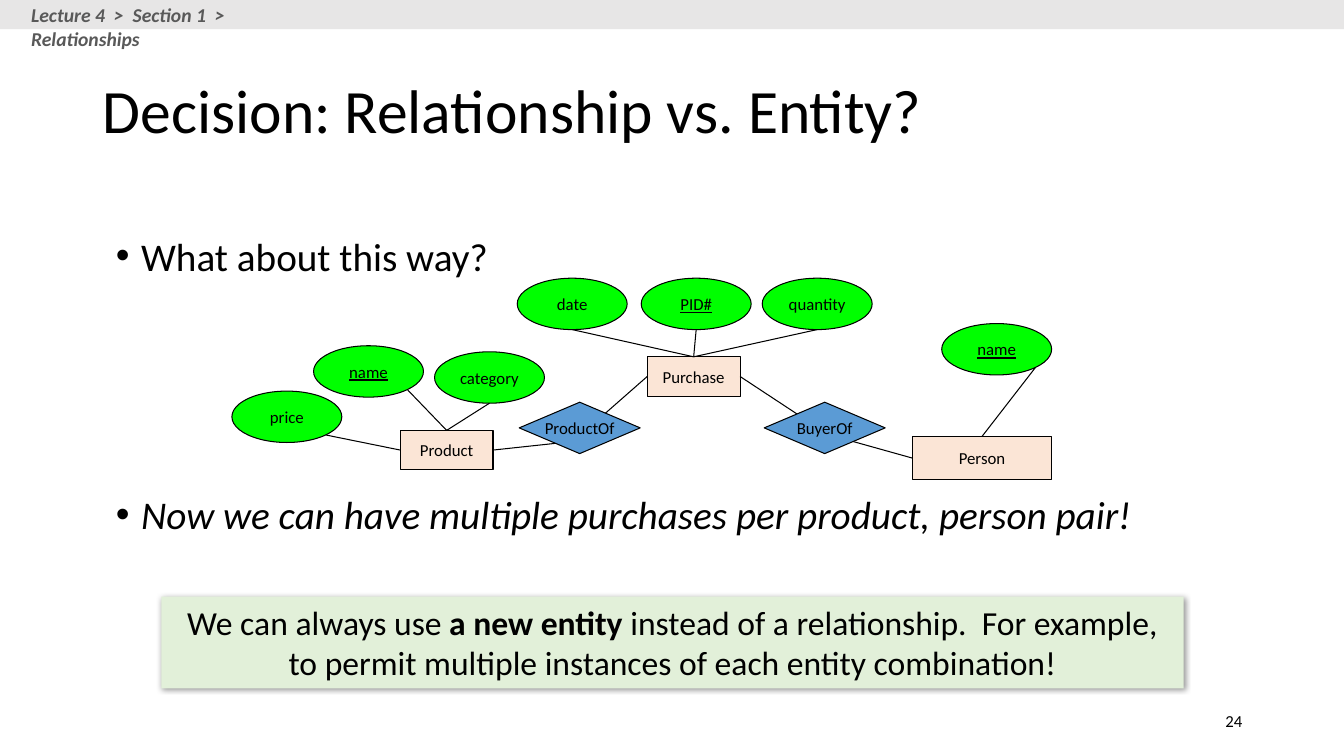
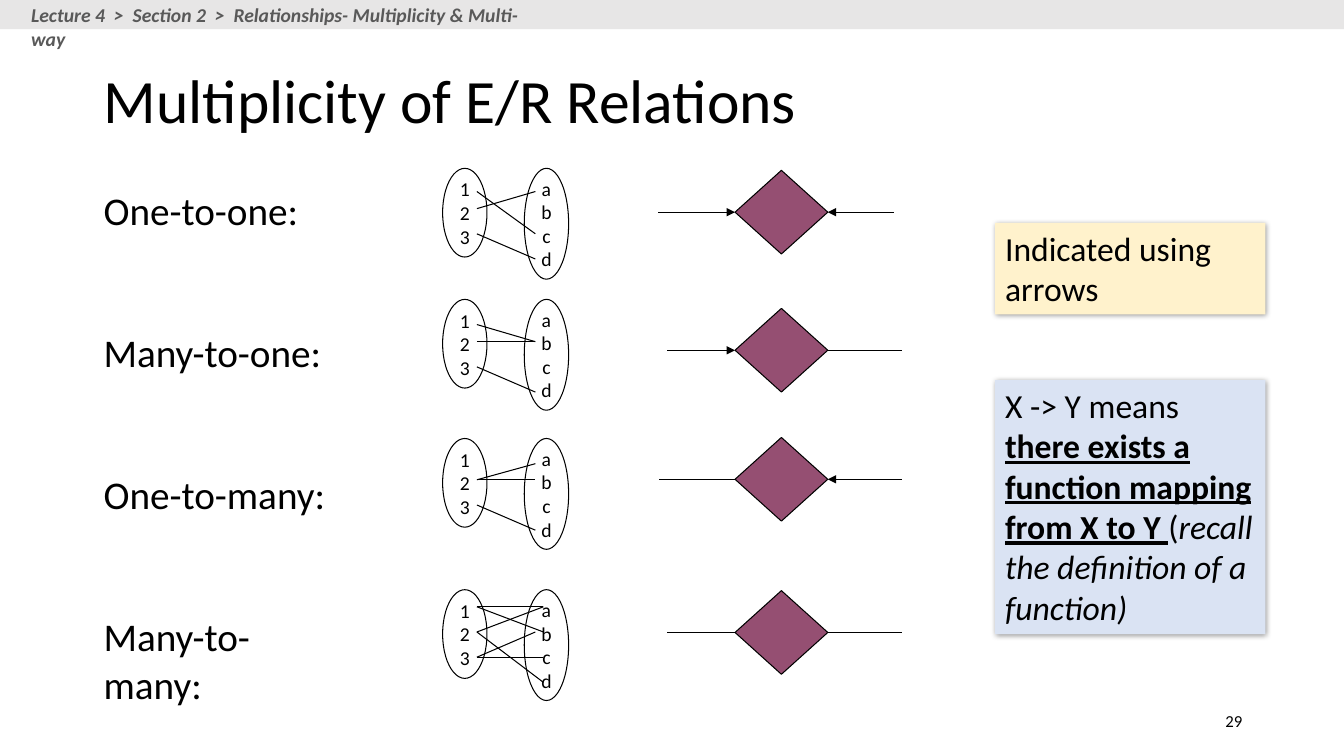
"""Build two lecture slides on entities and relationships."""
from math import cos, radians, sin

from lxml.etree import SubElement
from pptx import Presentation
from pptx.dml.color import RGBColor
from pptx.enum.shapes import MSO_CONNECTOR, MSO_SHAPE
from pptx.enum.text import MSO_ANCHOR, MSO_AUTO_SIZE, PP_ALIGN
from pptx.oxml.ns import qn
from pptx.shapes.autoshape import Shape
from pptx.util import Inches, Pt

HUES = {
    "ink": "000000", "crumb": "595959", "band": "E7E6E6", "box": "FBE5D6",
    "oval": "00FF00", "verb": "5B9BD5", "plum": "954F72", "green": "E2F0D9",
    "cream": "FFF2CC", "sky": "DAE3F3",
}
TOP, LEFT, BASE, RIGHT = range(4)
WIDE, HIGH = 1.09, 0.51


def hue(name):
    return RGBColor.from_string(HUES[name])


def put(par, text, size=12, color="ink", bold=False, italic=False, under=False):
    run = par.add_run()
    run.text = text
    font = run.font
    font.name, font.size = "Calibri", Pt(size)
    font.bold, font.italic, font.underline = bold, italic, under
    font.color.rgb = hue(color)


class Deck:
    def __init__(self):
        self.show = Presentation()
        self.show.slide_width = Inches(13.33)
        self.show.slide_height = Inches(7.5)
        self.slide = None

    def page(self, layout, title, spot, crumb, width, number):
        self.slide = self.show.slides.add_slide(self.show.slide_layouts[layout])
        head = self.slide.shapes.title
        self.place(head, spot)
        frame = self.frame(head, MSO_ANCHOR.MIDDLE)
        par = frame.paragraphs[0]
        par.alignment, par.line_spacing = PP_ALIGN.LEFT, 0.9
        put(par, title, size=44)
        self.shape(MSO_SHAPE.RECTANGLE, (0, 0, 13.33, 0.29), "band", edge=False)
        self.text(crumb, (0.21, -0.02, width, 0.34), size=14, color="crumb",
                  bold=True, italic=True)
        self.text(number, (9.42, 6.95, 3, 0.4), align=PP_ALIGN.RIGHT,
                  anchor=MSO_ANCHOR.MIDDLE)

    def place(self, item, spot):
        item.left, item.top, item.width, item.height = map(Inches, spot)

    def frame(self, item, anchor=MSO_ANCHOR.TOP, wrap=True):
        frame = item.text_frame
        frame.auto_size = MSO_AUTO_SIZE.NONE
        frame.word_wrap, frame.vertical_anchor = wrap, anchor
        return frame

    def text(self, text, spot, align=PP_ALIGN.LEFT, anchor=MSO_ANCHOR.TOP, **style):
        item = self.slide.shapes.add_textbox(*map(Inches, spot))
        par = self.frame(item, anchor).paragraphs[0]
        par.alignment = align
        put(par, text, **style)

    def list(self, spot, points):
        item = self.slide.placeholders[1]
        self.place(item, spot)
        frame = self.frame(item)
        for index, (text, gap, style) in enumerate(points):
            par = frame.add_paragraph() if index else frame.paragraphs[0]
            props = par._p.get_or_add_pPr()
            props.set("marL", str(Inches(0.25)))
            props.set("indent", str(Inches(-0.25)))
            SubElement(props, qn("a:buChar"), char="•")
            par.line_spacing, par.space_before = 0.8, Pt(gap)
            put(par, text, size=28, **style)

    def shape(self, kind, spot, fill=None, lines=(), edge=True, **style):
        item = self.slide.shapes.add_shape(kind, *map(Inches, spot))
        item.shadow.inherit = False
        if fill:
            item.fill.solid()
            item.fill.fore_color.rgb = hue(fill)
        else:
            item.fill.background()
        if edge:
            item.line.color.rgb, item.line.width = hue("ink"), Pt(0.75)
        else:
            item.line.fill.background()
        frame = self.frame(item, MSO_ANCHOR.MIDDLE, wrap=False)
        for index, text in enumerate(lines):
            par = frame.add_paragraph() if index else frame.paragraphs[0]
            par.alignment = PP_ALIGN.CENTER
            put(par, text, **style)
        return item

    def note(self, spot, fill, parts, align=PP_ALIGN.LEFT):
        item = self.shape(MSO_SHAPE.RECTANGLE, spot, fill, edge=False)
        shade = SubElement(item.element.spPr.find(qn("a:effectLst")),
                           qn("a:outerShdw"), blurRad=str(Pt(4)),
                           dist=str(Pt(1)), dir="2700000", rotWithShape="0")
        black = SubElement(shade, qn("a:srgbClr"), val=HUES["ink"])
        SubElement(black, qn("a:alpha"), val="40000")
        par = self.frame(item).paragraphs[0]
        par.alignment = align
        for text, style in parts:
            put(par, text, size=24, **style)

    def link(self, start, end, arrow=False):
        line = self.slide.shapes.add_connector(MSO_CONNECTOR.STRAIGHT, 0, 0, 0, 0)
        if isinstance(start[0], Shape):
            line.begin_connect(*start)
        else:
            line.begin_x, line.begin_y = map(Inches, start)
        if isinstance(end[0], Shape):
            line.end_connect(*end)
        else:
            line.end_x, line.end_y = map(Inches, end)
        line.line.color.rgb, line.line.width = hue("ink"), Pt(0.75)
        props = line.element.spPr
        if arrow:
            SubElement(props.find(qn("a:ln")), qn("a:headEnd"), type="triangle")
        SubElement(props, qn("a:effectLst"))


def choice(deck):
    deck.page(1, "Decision: Relationship vs. Entity?", (0.92, 0.4, 11.5, 1.45),
              "Lecture 4  >  Section 1  >  Relationships", 3.2, "24")
    deck.list((1.05, 2.34, 11.33, 3.12), [
        ("What about this way?", 0, {}),
        ("Now we can have multiple purchases per product, person pair!", 158,
         {"italic": True}),
    ])
    goods, sale, buyer = [
        deck.shape(MSO_SHAPE.RECTANGLE, spot, "box", [name])
        for name, spot in [("Product", (3.97, 4.27, 0.92, 0.39)),
                           ("Purchase", (6.42, 3.54, 0.92, 0.39)),
                           ("Person", (9.05, 4.33, 1.38, 0.43))]
    ]
    for name, x, y, turn, key, end in [
        ("name", 3.11, 3.43, 45, True, (goods, TOP)),
        ("category", 4.31, 3.49, 90, False, (goods, TOP)),
        ("price", 2.3, 3.88, 45, False, (goods, LEFT)),
        ("name", 9.34, 3.21, 45, True, (buyer, TOP)),
        ("date", 5.13, 2.76, 90, False, (sale, TOP)),
        ("PID#", 6.36, 2.76, 90, True, (sale, TOP)),
        ("quantity", 7.56, 2.76, 90, False, (sale, TOP)),
    ]:
        deck.shape(MSO_SHAPE.OVAL, (x, y, WIDE, HIGH), "oval", [name], under=key)
        angle = radians(turn)
        deck.link((x + WIDE / 2 * (1 + cos(angle)),
                   y + HIGH / 2 * (1 + sin(angle))), end)
    for name, x, ends in [
        ("ProductOf", 5.15, [((5.68, 4.38), (goods, RIGHT)),
                             ((5.97, 4.13), (sale, LEFT))]),
        ("BuyerOf", 7.58, [((8.21, 4.31), (buyer, LEFT)),
                           ((8, 4.17), (sale, RIGHT))]),
    ]:
        for start, end in ends:
            deck.link(start, end)
        deck.shape(MSO_SHAPE.DIAMOND, (x, 3.99, 1.2, HIGH), "verb", [name])
    deck.note((1.6, 5.92, 10.14, 0.91), "green", [
        ("We can always use ", {}),
        ("a new entity ", {"bold": True}),
        ("instead of a relationship.  For example, to permit multiple "
         "instances of each entity combination!", {}),
    ], PP_ALIGN.CENTER)


def ratios(deck):
    deck.page(5, "Multiplicity of E/R Relations", (0.93, 0.4, 11.33, 1.25),
              "Lecture 4  >  Section 2  >  Relationships- Multiplicity & Multi-way",
              5.2, "29")
    near, far = 5.31, 5.39
    rows = [
        ("One-to-one:", 1.67, 1.69, (6.53, True), (8.87, True),
         [(0.23, near, 0.65), (0.4, near, 0.23), (0.65, near, 0.9)]),
        ("Many-to-one:", 2.97, 3.06, (6.62, True), (8.95, False),
         [(0.25, near, 0.42), (0.42, near, 0.42), (0.67, near, 0.92)]),
        ("One-to-many:", 4.35, 4.34, (6.54, False), (8.95, True),
         [(0.41, near, 0.25), (0.41, near, 0.41), (0.66, near, 0.91)]),
        ("Many-to-many:", 5.85, 5.86, (6.62, False), (8.95, False),
         [(0.17, far, 0.42), (0.17, far, 0.17), (0.42, far, 0.17),
          (0.42, far, 0.92), (0.67, near, 0.42), (0.67, far, 0.67)]),
    ]
    for index, (name, top, peak, west, east, pairs) in enumerate(rows):
        deck.text(name, (0.93, 1.8 + 1.41 * index, 2.6, 0.57), size=28)
        for x, high, marks in [(4.39, 0.88, "123"), (5.2, 1.1, "abcd")]:
            deck.shape(MSO_SHAPE.OVAL, (x, top, 0.44, high), None, marks, size=14)
        for start, x, end in pairs:
            deck.link((4.73, top + start), (x, top + end))
        gem = deck.shape(MSO_SHAPE.DIAMOND, (7.29, peak, 0.92, 0.83), "plum")
        for side, (x, arrow) in [(LEFT, west), (RIGHT, east)]:
            deck.link((gem, side), (x, peak + 0.83 / 2), arrow)
    deck.note((9.87, 2.21, 2.68, 0.91), "cream", [("Indicated using arrows", {})])
    deck.note((9.87, 3.77, 2.68, 2.52), "sky", [
        ("X -> Y means ", {}),
        ("there exists a function mapping from X to Y ",
         {"bold": True, "under": True}),
        ("(", {}),
        ("recall the definition of a function)", {"italic": True}),
    ])


def main():
    deck = Deck()
    choice(deck)
    ratios(deck)
    deck.show.save("out.pptx")


if __name__ == "__main__":
    main()
